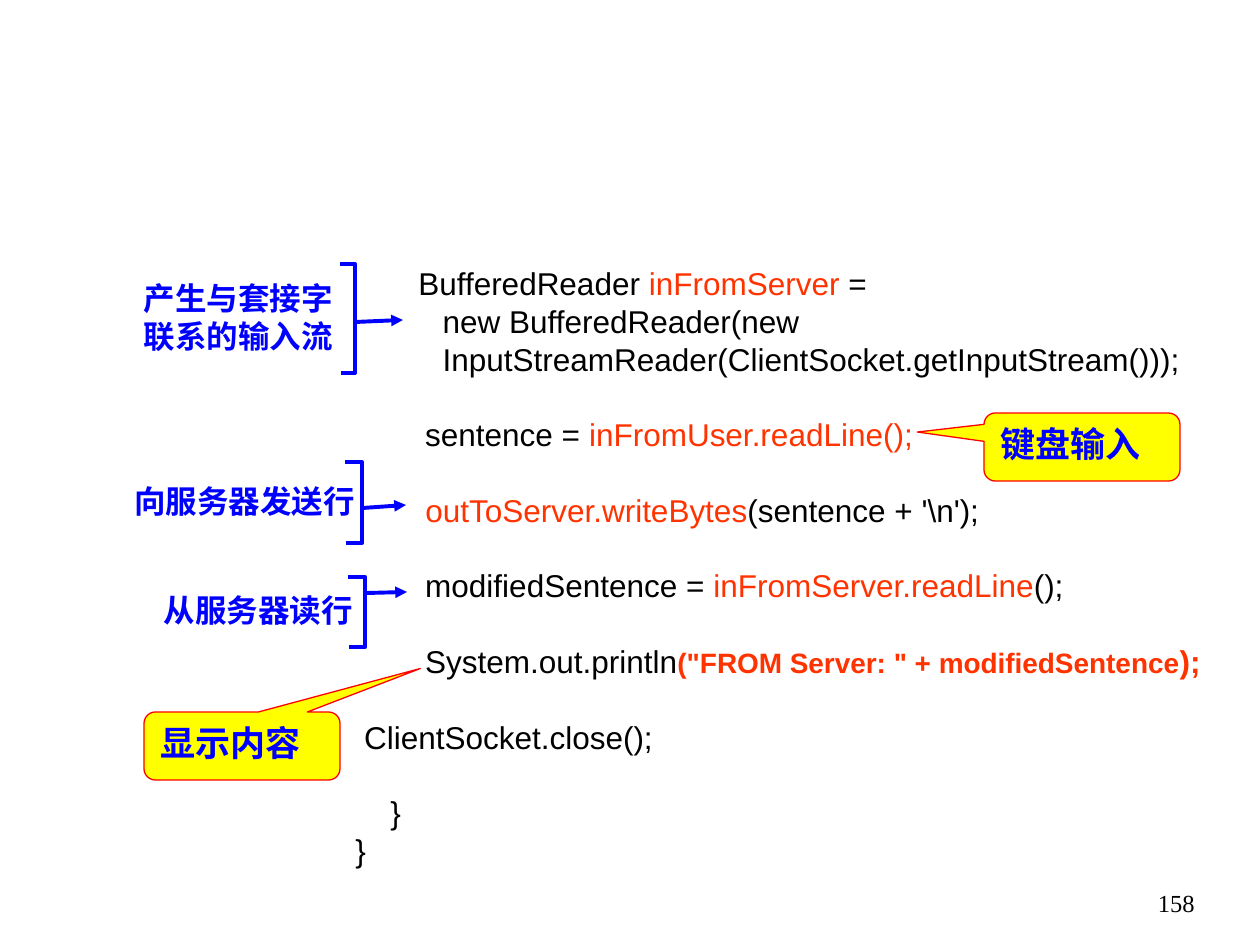
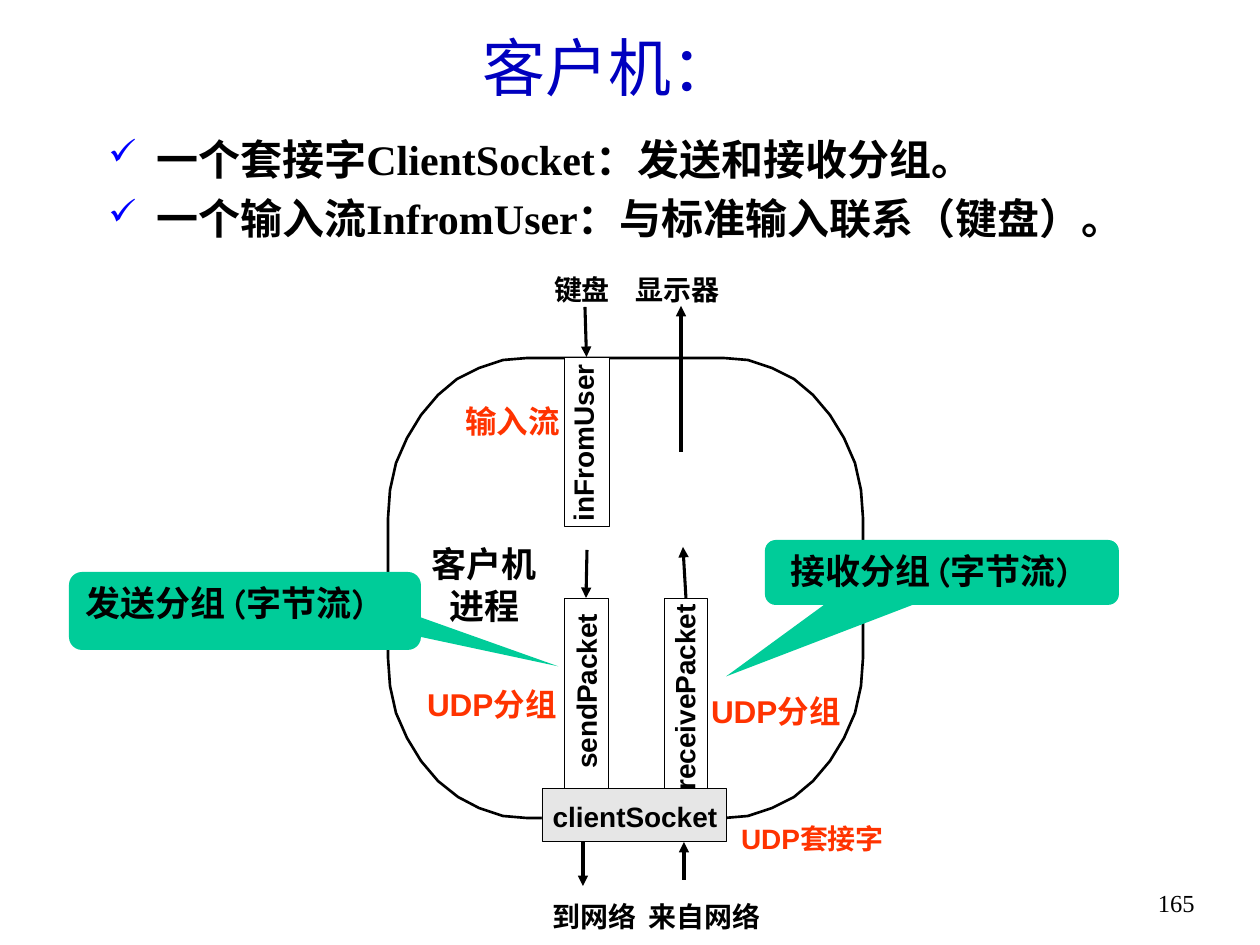
import math
from lxml import etree
from pptx import Presentation
from pptx import util as u
from pptx.dml.color import RGBColor
from pptx.enum import shapes, text
from pptx.oxml.ns import qn

PX = 914400 / 126
BLACK = RGBColor(0, 0, 0)
WHITE = RGBColor(255, 255, 255)
BLUE = RGBColor(0, 0, 255)
NAVY = RGBColor(0, 0, 191)
ORANGE = RGBColor(255, 51, 0)
RED = RGBColor(255, 0, 0)
YELLOW = RGBColor(255, 255, 0)
GREEN = RGBColor(0, 204, 153)
GREY = RGBColor(230, 230, 230)
SERIF, SANS, COMIC = "Times New Roman", "Arial", "Comic Neue"
RIGHT, CENTER = text.PP_ALIGN.RIGHT, text.PP_ALIGN.CENTER
TOP, MIDDLE = text.MSO_ANCHOR.TOP, text.MSO_ANCHOR.MIDDLE
HANG = 48
LEADING = 21.6

HOT = dict(color=ORANGE)
SHOUT = dict(color=ORANGE, bold=True)
CODE = [
    (0, [("        ", dict(font=SERIF)), "BufferedReader", (" inFromServer", HOT), " ="]),
    (0, ["          new BufferedReader(new"]),
    (0, ["          InputStreamReader(ClientSocket.getInputStream()));"]),
    (1, ["        sentence = ", ("inFromUser.readLine();", HOT)]),
    (1, ["        ", ("outToServer.writeBytes", HOT), "(sentence + '\\n');"]),
    (1, ["        modifiedSentence =", (" inFromServer.readLine", HOT), "();"]),
    (1, ["        System.out.println",
         ("(\"FROM Server: \" + modifiedSentence", dict(SHOUT, size=16)), (");", SHOUT)]),
    (1, [" ClientSocket.close();"]),
    (1, ["    }"]),
    (0, ["}"]),
]
STEPS = [
    ("产生与套接字联系的输入流", (108, 273, 237, 88), True,
     [(340, 264), (355, 264), (355, 373), (341, 373)], (355, 322, 403, 320)),
    ("向服务器发送行", (120, 476, 247, 50), False,
     [(345, 462), (362, 462), (362, 543), (346, 543)], (363, 508, 406, 505)),
    ("从服务器读行", (150, 585, 215, 50), False,
     [(348, 577), (365, 577), (365, 647), (349, 647)], (367, 593, 407, 592)),
]
CODE_CALLOUTS = [
    ("显示内容", (144, 712, 196, 68), (0.91, -1.14)),
    ("键盘输入", (984, 413, 196, 68), (-0.84, -0.22)),
]

POINTS = ["一个套接字ClientSocket：发送和接收分组。",
          "一个输入流InfromUser：与标准输入联系（键盘）。"]
PROCESS = (388, 358, 475, 460)
CORNER = (139, 160)
BOXES = [
    ("inFromUser", (564, 357, 45, 169), (495, 416, 176, 34), WHITE,
     dict(rot=270, wrap=True, hang=HANG)),
    ("sendPacket", (564, 598, 44, 198), (508, 674, 156, 34), WHITE, dict(rot=270, hang=HANG)),
    ("receivePacket", (664, 598, 44, 193), (590, 679, 189, 34), WHITE, dict(rot=270, hang=HANG)),
    ("clientSocket", (542, 789, 185, 53), (552, 800, 166, 34), GREY,
     dict(align=CENTER, hang=HANG)),
]
LABELS = [
    ("键盘", (554, 273, 57, 34), dict(hang=HANG)),
    ("显示器", (636, 273, 86, 34), dict(hang=HANG)),
    ("到网络", (553, 900, 86, 34), dict(hang=HANG)),
    ("来自网络", (649, 900, 113, 34), dict(hang=HANG)),
    ("客户机进程", (421, 543, 127, 84), dict(size=20, align=CENTER, wrap=True)),
    ("输入流", (465, 402, 96, 38), dict(size=18, font=COMIC, color=ORANGE, hang=HANG)),
    ("UDP分组", (427, 685, 131, 38), dict(size=18, color=ORANGE, hang=HANG)),
    ("UDP分组", (711, 692, 131, 38), dict(size=18, color=ORANGE, hang=HANG)),
    ("UDP套接字", (741, 822, 145, 34), dict(color=ORANGE, hang=HANG)),
]
ARROWS = [
    ((585, 307, 584, 357), None, ("inFromUser", 0)),
    ((681, 452, 681, 306), None, None),
    ((587, 550, 587, 598), None, ("sendPacket", 0)),
    ((684, 600, 683, 547), ("receivePacket", 0), None),
    ((583, 842, 583, 886), None, None),
    ((684, 880, 684, 842), None, None),
]
PACKET_CALLOUTS = [
    ("发送分组 (字节流)", (69, 572, 352, 78), (0.89, 0.71), 13),
    ("接收分组 (字节流)", (765, 540, 354, 65), (-0.61, 1.6), 22),
]


def px(*values):
    return [u.Emu(round(v * PX)) for v in values]


def write(tf, paras, size=18, font=SANS, color=BLACK, bold=False, align=None,
          hang=0, gaps=(), leading=None, bullet=None):
    for i, runs in enumerate(paras):
        p = tf.paragraphs[0] if i == 0 else tf.add_paragraph()
        pPr = p._p.get_or_add_pPr()
        if hang:
            pPr.set("marL", str(px(hang)[0]))
            pPr.set("indent", str(-px(hang)[0]))
        p.alignment = align
        if leading:
            p.line_spacing = u.Pt(leading)
        if i and gaps and gaps[i]:
            p.space_before = u.Pt(gaps[i])
        if bullet:
            clr = etree.SubElement(pPr, qn("a:buClr"))
            etree.SubElement(clr, qn("a:srgbClr"), val=str(BLUE))
            etree.SubElement(pPr, qn("a:buSzPct"), val="85000")
            etree.SubElement(pPr, qn("a:buChar"), char=bullet)
        for run in [runs] if isinstance(runs, str) else runs:
            words, own = (run, {}) if isinstance(run, str) else run
            fmt = dict(size=size, font=font, color=color, bold=bold) | own
            r = p.add_run()
            r.text = words
            r.font.size, r.font.name = u.Pt(fmt["size"]), fmt["font"]
            r.font.bold = fmt["bold"]
            r.font.color.rgb = fmt["color"]


def add_text(s, at, paras, wrap=False, anchor=TOP, inset=None, rot=0, **fmt):
    sp = s.shapes.add_textbox(*px(*at))
    sp.rotation = rot
    tf = sp.text_frame
    tf.word_wrap, tf.vertical_anchor = wrap, anchor
    tf.auto_size = text.MSO_AUTO_SIZE.SHAPE_TO_FIT_TEXT
    if inset is not None:
        tf.margin_left = tf.margin_right = tf.margin_top = tf.margin_bottom = inset
    write(tf, paras, **fmt)


def paint(sp, fill=None, line=None, width=1):
    sp.shadow.inherit = False
    if fill is None:
        sp.fill.background()
    else:
        sp.fill.solid()
        sp.fill.fore_color.rgb = fill
    if line is None:
        sp.line.fill.background()
    else:
        sp.line.color.rgb = line
        sp.line.width = u.Pt(width)


def add_outline(s, points, close, **style):
    fb = s.shapes.build_freeform(*points[0], scale=PX)
    fb.add_line_segments(points[1:], close=close)
    paint(fb.convert_to_shape(), **style)


def add_arrow(s, ends, color, width, begin=None, end=None):
    c = s.shapes.add_connector(shapes.MSO_CONNECTOR.STRAIGHT, *px(*ends))
    if begin:
        c.begin_connect(*begin)
    if end:
        c.end_connect(*end)
    c.line.color.rgb, c.line.width = color, u.Pt(width)
    etree.SubElement(c.line._get_or_add_ln(), qn("a:tailEnd"), type="triangle")
    etree.SubElement(c._element.spPr, qn("a:effectLst"))


def add_callout(s, words, at, tip, fill, line, color, left=13):
    sp = s.shapes.add_shape(shapes.MSO_SHAPE.ROUNDED_RECTANGULAR_CALLOUT, *px(*at))
    sp.adjustments[0], sp.adjustments[1] = tip
    paint(sp, fill, line, 0.75)
    tf = sp.text_frame
    tf.word_wrap, tf.vertical_anchor = True, TOP
    tf.margin_left = px(left)[0]
    write(tf, [words], size=20, font=COMIC, color=color, bold=True,
          align=text.PP_ALIGN.LEFT, hang=HANG)


def rounded(at, corner):
    x, y, w, h = at
    rx, ry = corner
    centers = [(x + w - rx, y + h - ry), (x + rx, y + h - ry),
               (x + rx, y + ry), (x + w - rx, y + ry)]
    return [(round(cx + rx * math.cos(a)), round(cy + ry * math.sin(a)))
            for q, (cx, cy) in enumerate(centers)
            for a in [math.radians(90 * q + 10 * k) for k in range(10)]]


def add_slide(prs, layout, number):
    s = prs.slides.add_slide(prs.slide_layouts[layout])
    add_text(s, (1144, 882, 63, 63), [number], wrap=True, size=14, font=SERIF, align=RIGHT)
    return s


def code_slide(prs):
    s = add_slide(prs, 6, "158")
    add_text(s, (343, 257, 881, 619), [runs for _, runs in CODE], anchor=MIDDLE,
             leading=LEADING, gaps=[n * LEADING for n, _ in CODE])
    for words, at, wrap, bracket, arrow in STEPS:
        add_text(s, at, [words], wrap=wrap, anchor=MIDDLE, font=COMIC, color=BLUE,
                 bold=True, align=RIGHT)
        add_outline(s, bracket, False, line=BLUE, width=2.25)
        add_arrow(s, arrow, BLUE, 2.25)
    for words, at, tip in CODE_CALLOUTS:
        add_callout(s, words, at, tip, YELLOW, RED, BLUE)


def client_slide(prs):
    s = add_slide(prs, 5, "165")
    title = s.shapes.title
    title.left, title.top, title.width, title.height = px(73, 32, 1071, 68)
    tf = title.text_frame
    tf.auto_size, tf.vertical_anchor = text.MSO_AUTO_SIZE.NONE, MIDDLE
    write(tf, ["客户机："], size=36, font=SERIF, color=NAVY, align=CENTER)
    add_text(s, (96, 127, 1063, 123), POINTS, wrap=True, size=24, font=SERIF, bold=True,
             hang=HANG, gaps=(0, 5), bullet="✓")

    add_outline(s, rounded(PROCESS, CORNER), True, fill=WHITE, line=BLACK, width=1.5)
    label = dict(size=16, bold=True, inset=0)
    boxes = {}
    for name, at, label_at, fill, fmt in BOXES:
        boxes[name] = s.shapes.add_shape(shapes.MSO_SHAPE.RECTANGLE, *px(*at))
        paint(boxes[name], fill, BLACK, 0.5)
        add_text(s, label_at, [name], **label | fmt)
    for words, at, fmt in LABELS:
        add_text(s, at, [words], **label | fmt)
    for ends, begin, end in ARROWS:
        joins = [j and (boxes[j[0]], j[1]) for j in (begin, end)]
        add_arrow(s, ends, BLACK, 1.75, *joins)
    for words, at, tip, left in PACKET_CALLOUTS:
        add_callout(s, words, at, tip, GREEN, None, BLACK, left)


def main():
    prs = Presentation()
    prs.slide_width, prs.slide_height = px(1260, 945)
    code_slide(prs)
    client_slide(prs)
    prs.save("out.pptx")


if __name__ == "__main__":
    main()
